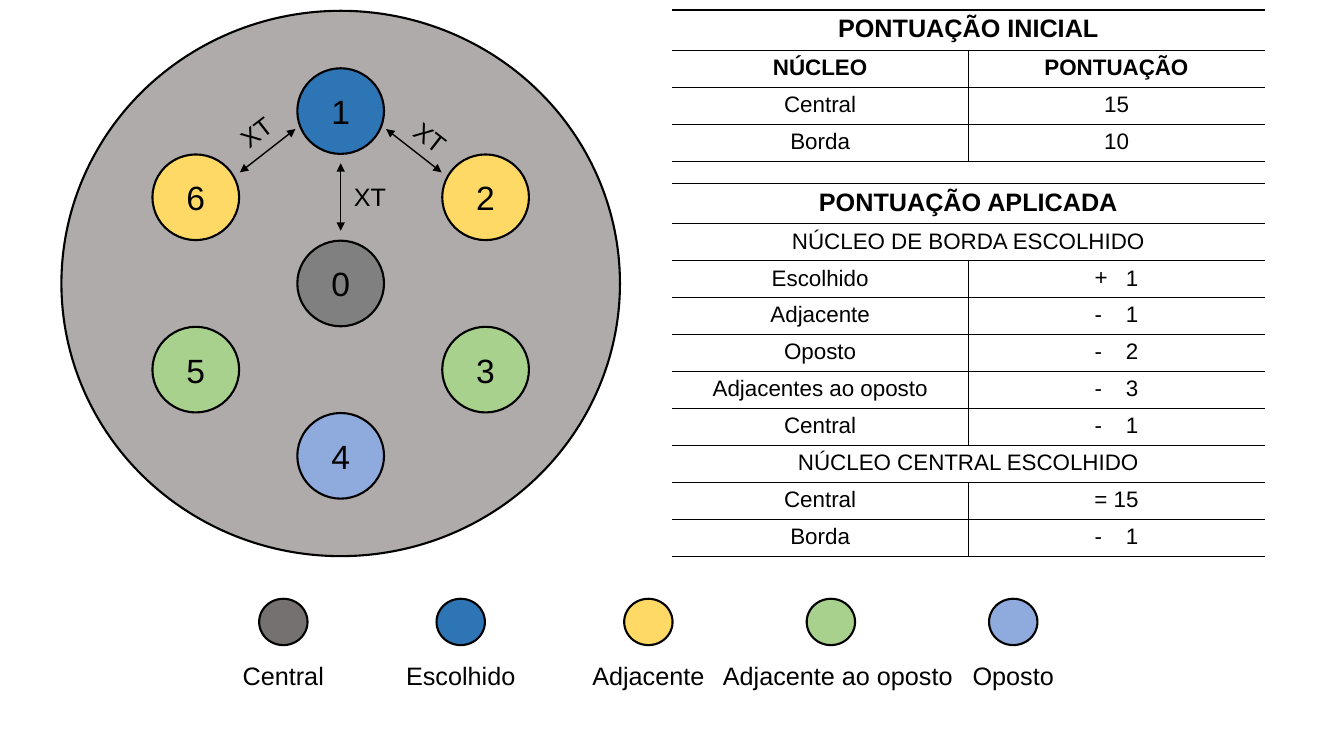
"""Build the core scoring slide: ring of cores, legend and two score tables."""
import math
import pptx
import pptx.util
import pptx.dml.color
import pptx.enum.shapes
import pptx.enum.text
import pptx.oxml.ns
import lxml.etree

HUES = {
    "ink": "000000", "paper": "FFFFFF", "disk": "AFABAB", "core": "808080",
    "key": "767171", "blue": "2E75B6", "gold": "FFD966", "green": "A9D18E",
    "sky": "8FAADC",
}
RING = ["blue", "gold", "green", "sky", "green", "gold"]
LEGEND = [
    ("Central", "key", 21.08, 21.08, 7.65),
    ("Escolhido", "blue", 34.28, 34.28, 9.75),
    ("Adjacente", "gold", 48.24, 48.24, 9.9),
    ("Adjacente ao oposto", "green", 61.82, 62.34, 18.75),
    ("Oposto", "sky", 75.39, 75.39, 7.65),
]
LINKS = [
    ((17.85, 22.8), (21.98, 17.07), (19.05, 17.47), -37.8),
    ((32.86, 22.8), (28.73, 17.07), (32.03, 18.13), 37.8),
    ((25.35, 21.6), (25.35, 30.53), (27.53, 26), 0),
]
TABLES = [
    (1.33, [
        ("PONTUAÇÃO INICIAL",),
        ("NÚCLEO", "PONTUAÇÃO"),
        ("Central", "15"),
        ("Borda", "10"),
    ]),
    (24.27, [
        ("PONTUAÇÃO APLICADA",),
        ("NÚCLEO DE BORDA ESCOLHIDO",),
        ("Escolhido", "1", "+"),
        ("Adjacente", "1", "-"),
        ("Oposto", "2", "-"),
        ("Adjacentes ao oposto", "3", "-"),
        ("Central", "1", "-"),
        ("NÚCLEO CENTRAL ESCOLHIDO",),
        ("Central", "= 15"),
        ("Borda", "1", "-"),
    ]),
]
BOLD = {"PONTUAÇÃO INICIAL", "PONTUAÇÃO APLICADA", "NÚCLEO", "PONTUAÇÃO"}
MID = (25.35, 37.5)
DISK, NODE, DOT = (41.56, 72.13), (6.45, 11.33), (3.6, 6.13)
REACH = (12.45, 22.8)
DOT_Y, NAME_Y, NAME_H = 82.27, 89.33, 5.33
LEFT, COL, HEAD, ROW = 50, 22.05, 5.33, 4.89
INDENT = pptx.util.Inches(0.31)

deck = pptx.Presentation()
deck.slide_width = pptx.util.Inches(13.33)
deck.slide_height = pptx.util.Inches(7.5)
slide = deck.slides.add_slide(deck.slide_layouts[6])
shapes = slide.shapes


def across(share):
    return round(deck.slide_width * share / 100)


def down(share):
    return round(deck.slide_height * share / 100)


def frame(mid, size):
    x, y = (m - s / 2 for m, s in zip(mid, size))
    return across(x), down(y), across(size[0]), down(size[1])


def tint(name):
    return pptx.dml.color.RGBColor.from_string(HUES[name])


def sub(parent, tag, **attrs):
    return lxml.etree.SubElement(parent, pptx.oxml.ns.qn(tag), attrs)


def write(body, text, size, bold=False):
    para = body.paragraphs[0]
    para.alignment = pptx.enum.text.PP_ALIGN.CENTER
    run = para.add_run()
    run.text = text
    style = {"name": "Arial", "size": pptx.util.Pt(size), "bold": bold}
    for key, value in style.items():
        setattr(run.font, key, value)
    run.font.color.rgb = tint("ink")
    return para


def disc(mid, size, hue, text=""):
    oval = shapes.add_shape(pptx.enum.shapes.MSO_SHAPE.OVAL, *frame(mid, size))
    oval.shadow.inherit = False
    oval.fill.solid()
    oval.fill.fore_color.rgb = tint(hue)
    oval.line.color.rgb = tint("ink")
    oval.line.width = pptx.util.Pt(1.5)
    if text:
        oval.text_frame.word_wrap = False
        write(oval.text_frame, text, 24)


def label(mid, width, text, turn=0):
    box = shapes.add_textbox(*frame(mid, (width, NAME_H)))
    box.rotation = turn
    box.text_frame.word_wrap = False
    write(box.text_frame, text, 18)


def arrow(start, end):
    line = shapes.add_connector(
        pptx.enum.shapes.MSO_CONNECTOR.STRAIGHT,
        across(start[0]), down(start[1]), across(end[0]), down(end[1]))
    line.line.color.rgb = tint("ink")
    line.line.width = pptx.util.Pt(1)
    props = line.line._get_or_add_ln()
    for tag in ("a:headEnd", "a:tailEnd"):
        sub(props, tag, type="triangle")
    sub(line._element.spPr, "a:effectLst")


def edge(cell, sides):
    props = cell._tc.get_or_add_tcPr()
    for side in "LRTB":
        line = sub(props, "a:ln" + side, w=str(pptx.util.Pt(1)))
        if side in sides:
            sub(sub(line, "a:solidFill"), "a:srgbClr", val=HUES["ink"])
        else:
            sub(line, "a:noFill")


def bullet(para, sign):
    props = para._p.get_or_add_pPr()
    props.set("marL", str(INDENT))
    props.set("indent", str(-INDENT))
    sub(props, "a:buFont", typeface="Arial")
    sub(props, "a:buChar", char=sign)


def grid(top, rows):
    high = HEAD + ROW * (len(rows) - 1)
    table = shapes.add_table(len(rows), 2, across(LEFT), down(top),
                             across(2 * COL), down(high)).table
    for flag in ("first_row", "horz_banding"):
        setattr(table, flag, False)
    for r, (name, *rest) in enumerate(rows):
        table.rows[r].height = down(ROW if r else HEAD)
        for c, side in enumerate("RL"):
            cell = table.cell(r, c)
            edge(cell, "TB" + side if rest else "TB")
            cell.fill.solid()
            cell.fill.fore_color.rgb = tint("paper")
        write(table.cell(r, 0).text_frame, name, 16 if r else 18, name in BOLD)
        if not rest:
            table.cell(r, 0).merge(table.cell(r, 1))
            continue
        para = write(table.cell(r, 1).text_frame, rest[0], 16, rest[0] in BOLD)
        if len(rest) > 1:
            bullet(para, rest[1])


disc(MID, DISK, "disk")
disc(MID, NODE, "core", "0")
for i, hue in enumerate(RING):
    turn = math.tau * i / len(RING)
    spot = (MID[0] + REACH[0] * math.sin(turn), MID[1] - REACH[1] * math.cos(turn))
    disc(spot, NODE, hue, str(i + 1))
for start, end, spot, turn in LINKS:
    arrow(start, end)
    label(spot, 3.9, "XT", turn)
for name, hue, dot_x, name_x, width in LEGEND:
    disc((dot_x, DOT_Y), DOT, hue)
    label((name_x, NAME_Y), width, name)
for top, rows in TABLES:
    grid(top, rows)

deck.save("out.pptx")
